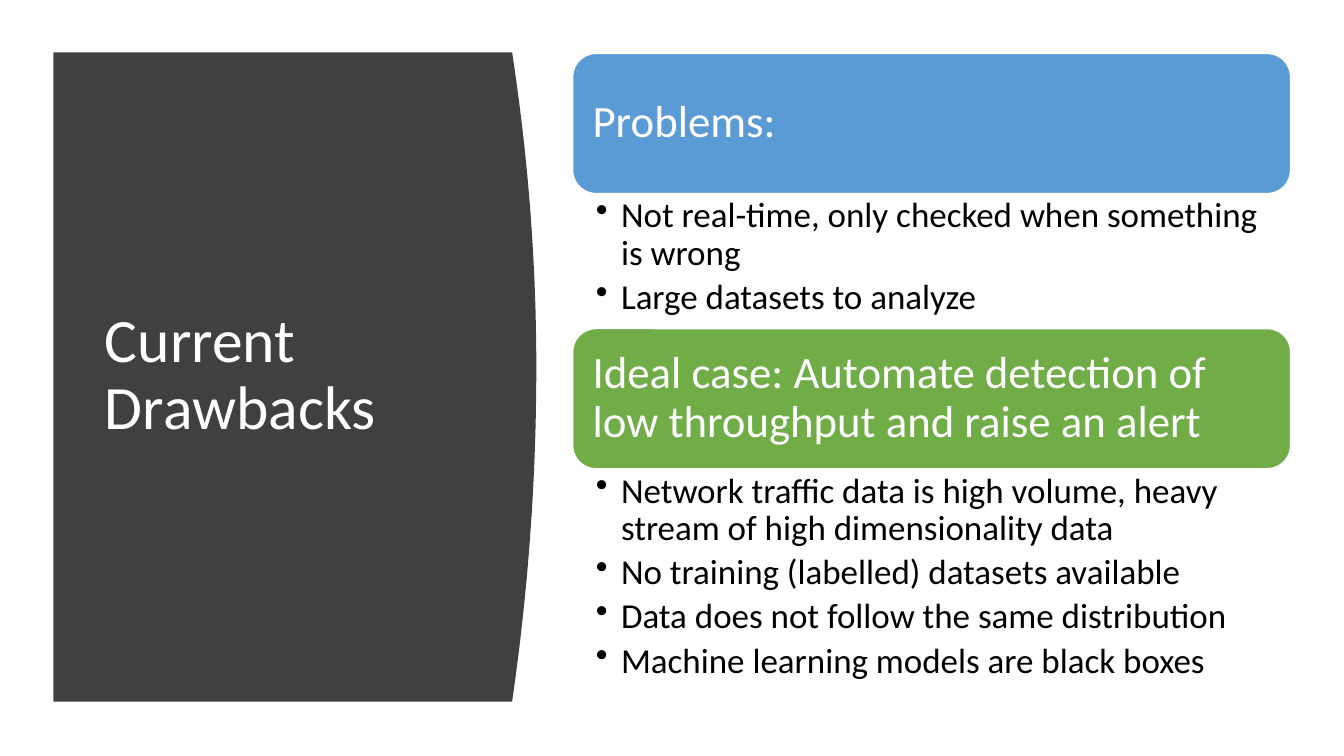
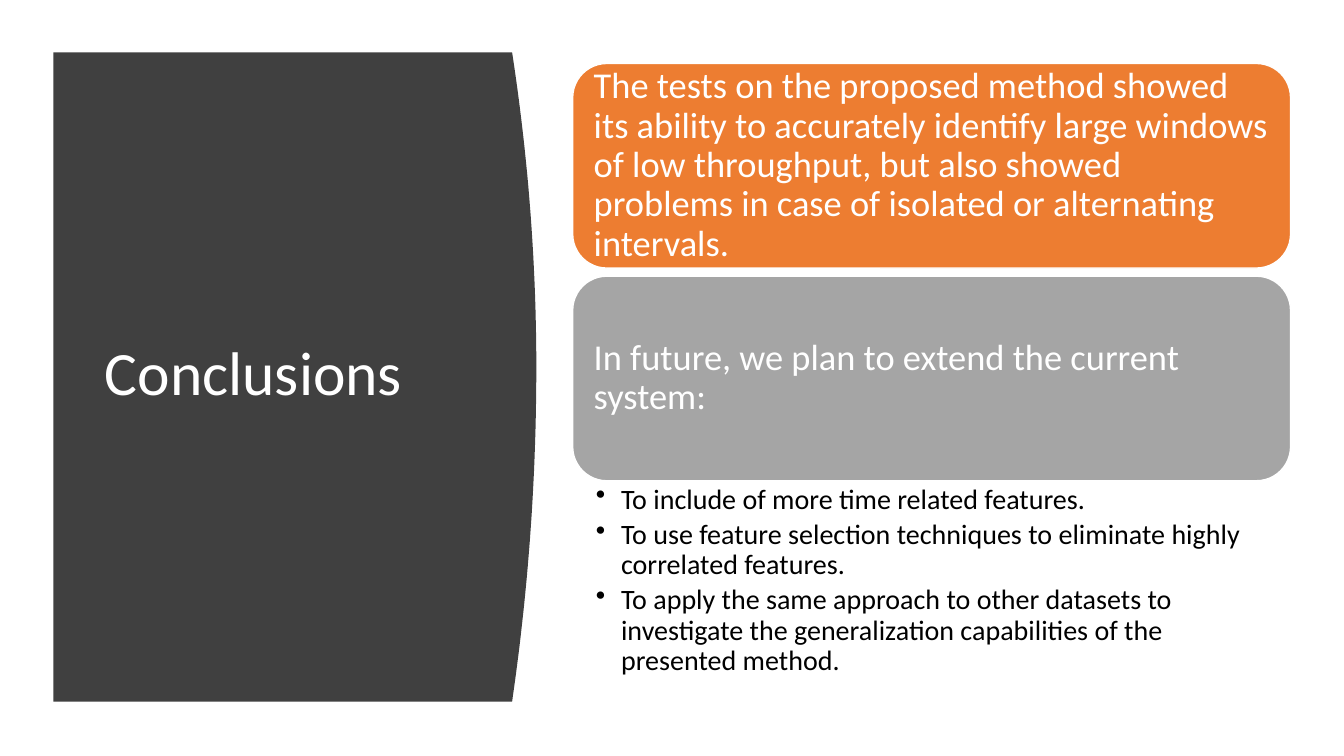
import dataclasses

import lxml.etree
import pptx
import pptx.dml.color
import pptx.enum.shapes
import pptx.enum.text
import pptx.oxml.ns
import pptx.util
from pptx.util import Inches


@dataclasses.dataclass(frozen=True)
class Theme:
    font: str = "Calibri"
    panel: str = "404040"
    white: str = "FFFFFF"
    black: str = "000000"
    blue: str = "5B9BD5"
    green: str = "70AD47"
    orange: str = "ED7D31"
    gray: str = "A5A5A5"
    title_size: int = 44
    large_heading: int = 32
    small_heading: int = 26
    large_body: int = 25
    small_body: int = 20
    line_spacing: float = 0.9
    paragraph_gap: float = 0.18


THEME = Theme()
CONTENT_LEFT, CONTENT_WIDTH = 5.68, 7.12


def color(value):
    return pptx.dml.color.RGBColor.from_string(value)


def set_insets(text_frame, left, top, right, bottom):
    text_frame.margin_left = Inches(left)
    text_frame.margin_top = Inches(top)
    text_frame.margin_right = Inches(right)
    text_frame.margin_bottom = Inches(bottom)


def format_text(text_frame, size, text_color):
    text_frame.word_wrap = True
    text_frame.auto_size = pptx.enum.text.MSO_AUTO_SIZE.NONE
    for paragraph in text_frame.paragraphs:
        paragraph.alignment = pptx.enum.text.PP_ALIGN.LEFT
        paragraph.line_spacing = THEME.line_spacing
        for run in paragraph.runs:
            run.font.name = THEME.font
            run.font.size = pptx.util.Pt(size)
            run.font.color.rgb = color(text_color)


def add_bullet(paragraph):
    properties = paragraph._p.get_or_add_pPr()
    properties.set("marL", str(Inches(0.25)))
    properties.set("indent", str(Inches(-0.25)))
    bullet = lxml.etree.SubElement(properties, pptx.oxml.ns.qn("a:buChar"))
    bullet.set("char", "•")


def add_panel(slide):
    left, edge, bulge = 0.53, 5.08, 0.24
    top, peak, bottom = 0.52, 3.65, 6.96
    steps = 48
    curve = []
    for step in range(steps + 1):
        y = top + (bottom - top) * step / steps
        reach = peak - top if y < peak else bottom - peak
        x = edge + bulge * (1 - ((y - peak) / reach) ** 2)
        curve.append((Inches(x), Inches(y)))
    builder = slide.shapes.build_freeform(Inches(left), Inches(top))
    builder.add_line_segments(curve + [(Inches(left), Inches(bottom))])
    panel = builder.convert_to_shape()
    panel.shadow.inherit = False
    panel.fill.solid()
    panel.fill.fore_color.rgb = color(THEME.panel)
    panel.line.fill.background()
    slide.shapes._spTree.insert(2, panel._element)


def add_title(slide, text):
    title = slide.shapes.title
    title.left, title.top = Inches(0.94), Inches(1.11)
    title.width, title.height = Inches(3.74), Inches(5.24)
    title.text_frame.text = text
    title.text_frame.vertical_anchor = pptx.enum.text.MSO_ANCHOR.MIDDLE
    format_text(title.text_frame, THEME.title_size, THEME.white)


def add_card(slide, top, height, fill, text, size, inset):
    card = slide.shapes.add_shape(
        pptx.enum.shapes.MSO_SHAPE.ROUNDED_RECTANGLE,
        Inches(CONTENT_LEFT), Inches(top), Inches(CONTENT_WIDTH), Inches(height))
    card.shadow.inherit = False
    card.fill.solid()
    card.fill.fore_color.rgb = color(fill)
    card.line.color.rgb = color(THEME.white)
    card.line.width = pptx.util.Pt(1)
    card.text_frame.text = text
    card.text_frame.vertical_anchor = pptx.enum.text.MSO_ANCHOR.MIDDLE
    set_insets(card.text_frame, inset, inset, inset, inset)
    format_text(card.text_frame, size, THEME.white)


def add_bullets(slide, top, height, items, size, right_inset):
    box = slide.shapes.add_textbox(
        Inches(CONTENT_LEFT), Inches(top), Inches(CONTENT_WIDTH), Inches(height))
    box.text_frame.text = "\n".join(items)
    set_insets(box.text_frame, 0.23, 0.04, right_inset, 0.04)
    format_text(box.text_frame, size, THEME.black)
    for paragraph in box.text_frame.paragraphs:
        paragraph.space_after = pptx.util.Pt(size * THEME.paragraph_gap)
        add_bullet(paragraph)


def add_panel_slide(presentation, title):
    slide = presentation.slides.add_slide(presentation.slide_layouts[5])
    add_panel(slide)
    add_title(slide, title)
    return slide


def add_drawbacks(presentation):
    slide = add_panel_slide(presentation, "Current Drawbacks")
    sections = [
        (0.53, THEME.blue, "Problems:", 1.34, [
            "Not real-time, only checked when something is wrong",
            "Large datasets to analyze",
        ]),
        (3.26, THEME.green,
         "Ideal case: Automate detection of low throughput and raise an alert", 2.28, [
             "Network traffic data is high volume, heavy stream of high dimensionality data",
             "No training (labelled) datasets available",
             "Data does not follow the same distribution",
             "Machine learning models are black boxes",
         ]),
    ]
    card_height = 1.39
    for top, fill, heading, list_height, items in sections:
        add_card(slide, top, card_height, fill, heading, THEME.large_heading, 0.13)
        add_bullets(slide, top + card_height, list_height, items, THEME.large_body, 0.25)


def add_conclusions(presentation):
    slide = add_panel_slide(presentation, "Conclusions")
    cards = [
        (0.63, THEME.orange,
         "The tests on the proposed method showed its ability to accurately identify "
         "large windows of low throughput, but also showed problems in case of "
         "isolated or alternating intervals."),
        (2.74, THEME.gray, "In future, we plan to extend the current system:"),
    ]
    for top, fill, text in cards:
        add_card(slide, top, 2.03, fill, text, THEME.small_heading, 0.11)
    add_bullets(slide, 4.77, 2.06, [
        "To include of more time related features.",
        "To use feature selection techniques to eliminate highly correlated features.",
        "To apply the same approach to other datasets to investigate the "
        "generalization capabilities of the presented method.",
    ], THEME.small_body, 0.2)


def main():
    presentation = pptx.Presentation()
    presentation.slide_width = Inches(13.33)
    presentation.slide_height = Inches(7.5)
    add_drawbacks(presentation)
    add_conclusions(presentation)
    presentation.save("out.pptx")


if __name__ == "__main__":
    main()
